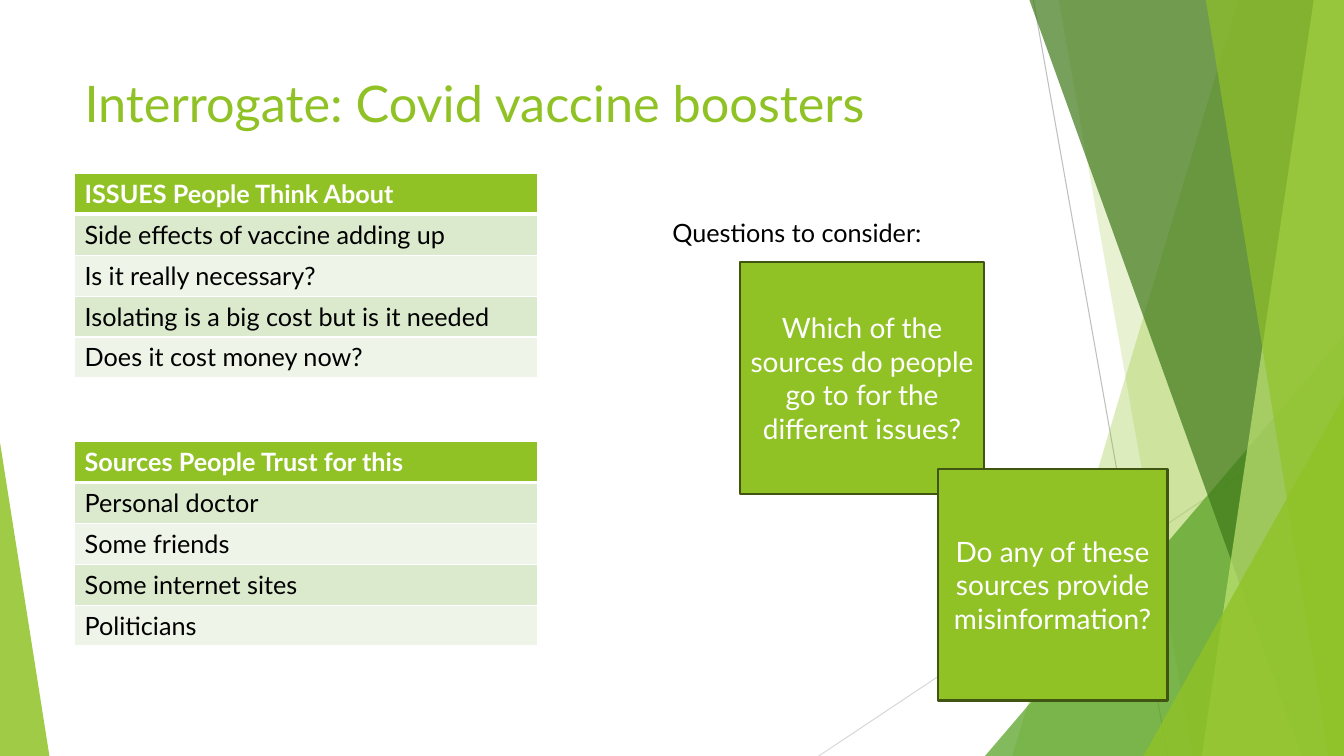
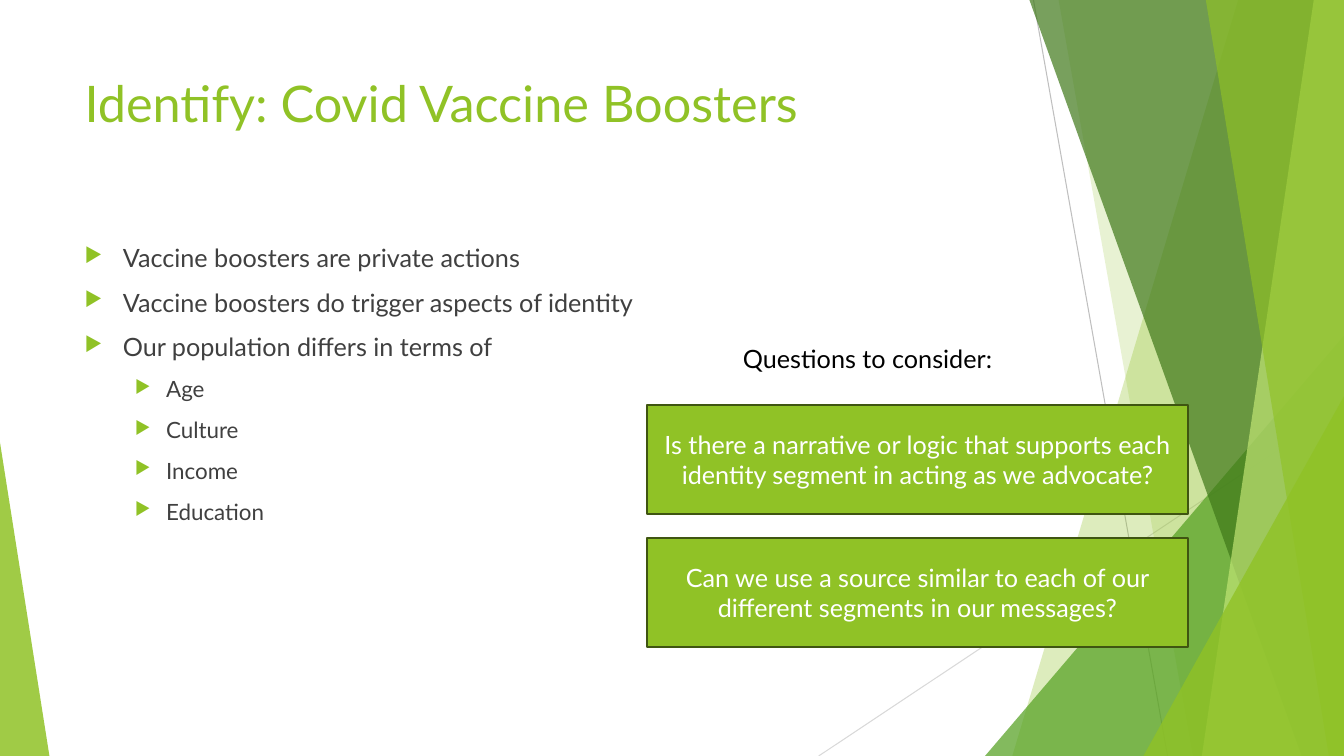
import dataclasses
import typing

import lxml.etree
import pptx
import pptx.dml.color
import pptx.enum.shapes
import pptx.enum.text
import pptx.oxml.ns
import pptx.util

Inches = pptx.util.Inches
Point = tuple[float, float]

# Shared style
FONT = "Lato"
GREEN, MID_GREEN, DARK_GREEN, LIME = "90C226", "54A021", "3F7819", "C0E474"
OUTLINE, WHITE, BLACK, BODY_GREY = "3F5511", "FFFFFF", "000000", "404040"
BANDS = ("DBE9CD", "EEF4E8")
WIDTH, HEIGHT = 13.33, 7.5
MARGIN = 0.74
TEXT_WIDTH = 9.4


@dataclasses.dataclass(frozen=True)
class Box:
    left: float
    top: float
    width: float
    height: float

    def lengths(self) -> tuple[int, int, int, int]:
        return (Inches(self.left), Inches(self.top),
                Inches(self.width), Inches(self.height))


@dataclasses.dataclass(frozen=True)
class Ray:
    start: Point
    end: Point
    color: str


@dataclasses.dataclass(frozen=True)
class Shard:
    """A panel from its top and bottom corners to the right slide edge."""
    top_left: float
    bottom_left: float
    color: str
    opacity: int


@dataclasses.dataclass(frozen=True)
class Corner:
    """A right triangle; peak is 0 for the left side, 1 for the right."""
    box: Box
    peak: float
    color: str
    opacity: int


@dataclasses.dataclass(frozen=True)
class Question:
    box: Box
    text: str
    size: int


@dataclasses.dataclass(frozen=True)
class Listing:
    top: float
    rows: tuple[str, ...]


@dataclasses.dataclass(frozen=True)
class Bullet:
    text: str
    level: int = 0


RAYS = (
    Ray((10.25, 0), (11.58, HEIGHT), "BFBFBF"),
    Ray((WIDTH, 4.03), (8.12, HEIGHT), "D9D9D9"),
)
FACETS: tuple[Shard | Corner, ...] = (
    Shard(12.28, 10.04, GREEN, 30),
    Shard(10.5, 11.83, GREEN, 20),
    Corner(Box(9.77, 3.33, 3.56, 4.17), 1, MID_GREEN, 72),
    Shard(10.21, 12.91, DARK_GREEN, 70),
    Shard(13.03, 11.92, LIME, 70),
    Shard(11.96, 13.18, GREEN, 65),
    Corner(Box(11.34, 3.93, 1.99, 3.57), 1, GREEN, 80),
    Corner(Box(0, 4.39, 0.49, 3.11), 0, GREEN, 85),
)

# Slide content
LISTINGS = (
    Listing(1.72, (
        "ISSUES People Think About",
        "Side effects of vaccine adding up",
        "Is it really necessary?",
        "Isolating is a big cost but is it needed",
        "Does it cost money now?",
    )),
    Listing(4.38, (
        "Sources People Trust for this",
        "Personal doctor",
        "Some friends",
        "Some internet sites",
        "Politicians",
    )),
)
SOURCE_QUESTIONS = (
    Question(Box(7.34, 2.6, 2.42, 2.3),
             "Which of the sources do people go to for the different issues?", 20),
    Question(Box(9.3, 4.65, 2.28, 2.3),
             "Do any of these sources provide misinformation?", 20),
)
BULLETS = (
    Bullet("Vaccine boosters are private actions"),
    Bullet("Vaccine boosters do trigger aspects of identity"),
    Bullet("Our population differs in terms of"),
    *(Bullet(trait, 1) for trait in ("Age", "Culture", "Income", "Education")),
)
IDENTITY_QUESTIONS = tuple(
    Question(Box(6.42, 4.02 + 1.32 * index, 5.36, 1.08), text, 18)
    for index, text in enumerate((
        "Is there a narrative or logic that supports each identity segment "
        "in acting as we advocate?",
        "Can we use a source similar to each of our different segments "
        "in our messages?",
    ))
)


# Helpers
def rgb(color: str) -> pptx.dml.color.RGBColor:
    return pptx.dml.color.RGBColor.from_string(color)


def add_element(parent: typing.Any, tag: str, **attributes: str) -> typing.Any:
    return lxml.etree.SubElement(parent, pptx.oxml.ns.qn(tag), attributes)


def style_text(para: typing.Any, size: int, color: str, bold: bool = False) -> None:
    for span in para.runs:
        span.font.name = FONT
        span.font.size = pptx.util.Pt(size)
        span.font.bold = bold
        span.font.color.rgb = rgb(color)


def paint(shape: typing.Any, color: str, opacity: int = 100) -> None:
    shape.shadow.inherit = False
    shape.fill.solid()
    shape.fill.fore_color.rgb = rgb(color)
    shape.line.fill.background()
    if opacity < 100:
        tint = shape.fill._xPr.find(".//" + pptx.oxml.ns.qn("a:srgbClr"))
        add_element(tint, "a:alpha", val=str(opacity * 1000))


# Backdrop
def draw_ray(page: typing.Any, ray: Ray) -> None:
    line = page.shapes.add_connector(
        pptx.enum.shapes.MSO_CONNECTOR.STRAIGHT,
        *(Inches(value) for value in ray.start + ray.end))
    line.line.color.rgb = rgb(ray.color)
    line.line.width = pptx.util.Pt(0.75)
    add_element(line._element.spPr, "a:effectLst")


def draw_shard(page: typing.Any, shard: Shard) -> None:
    corners = ((WIDTH, 0), (WIDTH, HEIGHT), (shard.bottom_left, HEIGHT))
    outline = page.shapes.build_freeform(Inches(shard.top_left), 0)
    outline.add_line_segments([(Inches(x), Inches(y)) for x, y in corners])
    paint(outline.convert_to_shape(), shard.color, shard.opacity)


def draw_corner(page: typing.Any, corner: Corner) -> None:
    shape = page.shapes.add_shape(
        pptx.enum.shapes.MSO_SHAPE.ISOSCELES_TRIANGLE, *corner.box.lengths())
    shape.adjustments[0] = corner.peak
    paint(shape, corner.color, corner.opacity)


def draw_backdrop(page: typing.Any) -> None:
    for ray in RAYS:
        draw_ray(page, ray)
    for facet in FACETS:
        if isinstance(facet, Shard):
            draw_shard(page, facet)
        else:
            draw_corner(page, facet)


# Content parts
def draw_text(page: typing.Any, box: Box, text: str, size: int, color: str) -> None:
    frame = page.shapes.add_textbox(*box.lengths()).text_frame
    frame.word_wrap = True
    frame.text = text
    style_text(frame.paragraphs[0], size, color)


def draw_question_label(page: typing.Any, left: float, top: float) -> None:
    draw_text(page, Box(left, top, 2.72, 0.4), "Questions to consider:", 18, BLACK)


def draw_question(page: typing.Any, question: Question) -> None:
    shape = page.shapes.add_shape(
        pptx.enum.shapes.MSO_SHAPE.RECTANGLE, *question.box.lengths())
    paint(shape, GREEN)
    shape.line.color.rgb = rgb(OUTLINE)
    shape.line.width = pptx.util.Pt(1.5)
    frame = shape.text_frame
    frame.word_wrap = True
    frame.vertical_anchor = pptx.enum.text.MSO_ANCHOR.MIDDLE
    frame.text = question.text
    frame.paragraphs[0].alignment = pptx.enum.text.PP_ALIGN.CENTER
    style_text(frame.paragraphs[0], question.size, WHITE)


def draw_borders(cell: typing.Any, row: int) -> None:
    widths = {"L": 1, "R": 1, "T": 3 if row == 1 else 1, "B": 3 if row == 0 else 1}
    properties = cell._tc.get_or_add_tcPr()
    for side, width in widths.items():
        border = add_element(properties, f"a:ln{side}", w=str(pptx.util.Pt(width)))
        add_element(add_element(border, "a:solidFill"), "a:srgbClr", val=WHITE)


def draw_listing(page: typing.Any, listing: Listing) -> None:
    box = Box(MARGIN, listing.top, 4.59, 2.03)
    table = page.shapes.add_table(len(listing.rows), 1, *box.lengths()).table
    table.horz_banding = False
    for row, text in enumerate(listing.rows):
        header = row == 0
        cell = table.cell(row, 0)
        draw_borders(cell, row)
        cell.fill.solid()
        cell.fill.fore_color.rgb = rgb(GREEN if header else BANDS[(row - 1) % 2])
        cell.text_frame.text = text
        style_text(cell.text_frame.paragraphs[0], 18,
                   WHITE if header else BLACK, bold=header)


def draw_bullets(page: typing.Any, bullets: tuple[Bullet, ...]) -> None:
    box = Box(MARGIN, 2.36, TEXT_WIDTH, 4.24)
    frame = page.shapes.add_textbox(*box.lengths()).text_frame
    frame.word_wrap = True
    for index, bullet in enumerate(bullets):
        para = frame.add_paragraph() if index else frame.paragraphs[0]
        para.text = bullet.text
        para.level = bullet.level
        indent, hang = ((0.38, 0.38), (0.81, 0.31))[bullet.level]
        properties = para._p.get_or_add_pPr()
        properties.set("marL", str(Inches(indent)))
        properties.set("indent", str(-Inches(hang)))
        add_element(add_element(properties, "a:buClr"), "a:srgbClr", val=GREEN)
        add_element(properties, "a:buSzPct", val="80000")
        add_element(properties, "a:buChar", char="▶")
        if index:
            para.space_before = pptx.util.Pt(10)
        style_text(para, 16 if bullet.level else 18, BODY_GREY)


# Slides
def add_page(deck: typing.Any, title: str) -> typing.Any:
    page = deck.slides.add_slide(deck.slide_layouts[6])
    draw_backdrop(page)
    draw_text(page, Box(MARGIN, 0.67, TEXT_WIDTH, 1.44), title, 36, GREEN)
    return page


def main() -> None:
    deck = pptx.Presentation()
    deck.slide_width, deck.slide_height = Inches(WIDTH), Inches(HEIGHT)

    page = add_page(deck, "Interrogate: Covid vaccine boosters")
    for listing in LISTINGS:
        draw_listing(page, listing)
    for question in SOURCE_QUESTIONS:
        draw_question(page, question)
    draw_question_label(page, 6.57, 2.11)

    page = add_page(deck, "Identify: Covid Vaccine Boosters")
    draw_bullets(page, BULLETS)
    draw_question_label(page, 7.27, 3.36)
    for question in IDENTITY_QUESTIONS:
        draw_question(page, question)

    deck.save("out.pptx")


if __name__ == "__main__":
    main()
